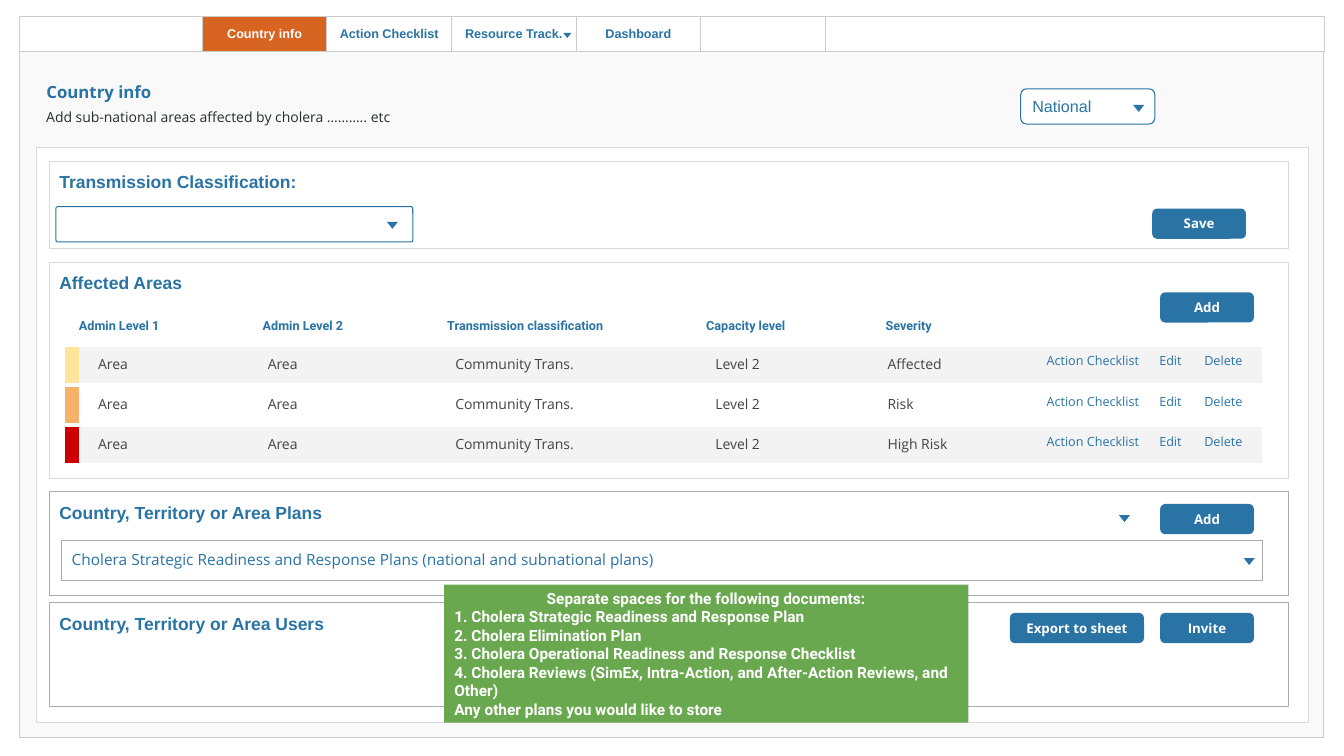
from lxml.etree import SubElement
from pptx import Presentation
from pptx.dml.color import RGBColor
from pptx.enum.shapes import MSO_SHAPE as Form
from pptx.enum.text import MSO_ANCHOR as Anchor, MSO_AUTO_SIZE as AutoSize, PP_ALIGN as Align
from pptx.oxml.ns import qn
from pptx.util import Pt

COLORS = {
    "white": "FFFFFF", "blue": "2973A5", "orange": "D86422", "green": "6AA84F",
    "frame": "F3F3F3", "frame_line": "CCCCCC", "light_line": "D9D9D9",
    "dark_line": "ACA9AF", "ink": "252D30", "cell": "434343",
    "Affected": "FFE599", "Risk": "F6B26B", "High Risk": "CC0000",
}
INSET = 7.2
ROW_GAP = 3.6


def rgb(name):
    return RGBColor.from_string(COLORS[name])


def write(frame, *lines, size=9, font="Arial", color="blue", bold=False,
          align=Align.LEFT, anchor=Anchor.TOP, inset=INSET, inset_y=None):
    """Fill a text frame, one paragraph for each line."""
    frame.word_wrap = True
    frame.auto_size = AutoSize.NONE
    frame.vertical_anchor = anchor
    frame.margin_left = frame.margin_right = Pt(inset)
    frame.margin_top = frame.margin_bottom = Pt(inset if inset_y is None else inset_y)
    for index, line in enumerate(lines):
        para = frame.paragraphs[0] if index == 0 else frame.add_paragraph()
        para.alignment = align
        para.space_before = Pt(0)
        format_span(para, line, size, font, color, bold)


def format_span(para, text, size, font, color, bold):
    span = para.add_run()
    span.text = text
    span.font.size = Pt(size)
    span.font.name = font
    span.font.bold = bold
    span.font.color.rgb = rgb(color)


def draw(page, box, fill="white", line=None, form=Form.RECTANGLE, corner=None):
    shape = page.shapes.add_shape(form, *map(Pt, box))
    shape.shadow.inherit = False
    shape.fill.solid()
    shape.fill.fore_color.rgb = rgb(fill)
    if line:
        shape.line.color.rgb = rgb(line)
        shape.line.width = Pt(0.75)
    else:
        shape.line.fill.background()
    if corner is not None:
        shape.adjustments[0] = corner
    return shape


def draw_arrow(page, left, top, width=8, height=5):
    arrow = draw(page, (left, top, width, height), "blue", form=Form.ISOSCELES_TRIANGLE)
    arrow.rotation = 180


def draw_button(page, label, left, top, width=67):
    button = draw(page, (left, top, width, 21.6), "blue",
                  form=Form.ROUNDED_RECTANGLE, corner=0.167)
    write(button.text_frame, label, size=9.5, font="Open Sans", color="white",
          bold=True, align=Align.CENTER, anchor=Anchor.MIDDLE)


def draw_panel(page, box, heading, line):
    panel = draw(page, box, line=line)
    write(panel.text_frame, heading, size=12.5, bold=True)


def place(holder, box):
    """Position a placeholder and bring it to the front."""
    holder.left, holder.top, holder.width, holder.height = map(Pt, box)
    holder.element.getparent().append(holder.element)


def build_frame(page, box):
    frame = draw(page, box, "frame", "frame_line")
    tint = frame.fill._xPr.find(qn("a:solidFill"))[0]
    SubElement(tint, qn("a:alpha")).set("val", "49000")


def build_navigation(page, box):
    left, top, width, height = box
    draw(page, box, line="frame_line")
    tab_width = 89
    tabs = ["Country info", "Action Checklist", "Resource Track.", "Dashboard", ""]
    for index, label in enumerate(tabs):
        active = index == 0
        tab = draw(page, (left + 130.3 + index * tab_width, top, tab_width, height),
                   "orange" if active else "white", "frame_line")
        if label:
            write(tab.text_frame, label, color="white" if active else "blue",
                  bold=True, align=Align.CENTER, anchor=Anchor.MIDDLE)
    draw_arrow(page, left + 388.1, top + 12, 5.8, 3.6)


def build_header(page, box):
    left, top, width, height = box
    place(page.shapes.title, (left, top, 140, 28.8))
    write(page.shapes.title.text_frame, "Country info",
          size=12, font="Open Sans", bold=True)
    subtitle = page.shapes.add_textbox(Pt(left), Pt(top + 19.2), Pt(width), Pt(26.6))
    write(subtitle.text_frame, "Add sub-national areas affected by cholera ……….. etc",
          size=10, font="Open Sans", color="ink")
    level = draw(page, (left + 703.2, top + 12.3, 95.8, 25.2), line="blue",
                 form=Form.ROUNDED_RECTANGLE, corner=0.167)
    write(level.text_frame, "National", size=11.5, anchor=Anchor.MIDDLE)
    draw_arrow(page, left + 783.4, top + 23.8)


def build_transmission(page, box):
    left, top, width, height = box
    draw_panel(page, box, "Transmission Classification:", "light_line")
    draw(page, (left + 4.7, top + 32.4, 254.9, 25.2), line="blue",
         form=Form.ROUNDED_RECTANGLE, corner=0.051)
    draw_arrow(page, left + 241, top + 43.2)
    draw_button(page, "Save", left + 787.7, top + 33.8)


def set_borders(cell):
    """White rules above and below, none at the sides."""
    properties = cell._tc.get_or_add_tcPr()
    for side in ("lnL", "lnR"):
        SubElement(SubElement(properties, qn(f"a:{side}"), w="0"), qn("a:noFill"))
    for side in ("lnT", "lnB"):
        rule = SubElement(properties, qn(f"a:{side}"), w=str(Pt(ROW_GAP)))
        solid = SubElement(rule, qn("a:solidFill"))
        SubElement(solid, qn("a:srgbClr")).set("val", COLORS["white"])


def fill_cell(cell, text, fill, indent=0, lift=0, **style):
    set_borders(cell)
    cell.fill.solid()
    cell.fill.fore_color.rgb = rgb(fill)
    cell.vertical_anchor = Anchor.MIDDLE
    cell.margin_left = Pt(indent)
    cell.margin_right = cell.margin_top = Pt(0)
    cell.margin_bottom = Pt(lift)
    if text:
        format_span(cell.text_frame.paragraphs[0], text, **style)


def build_areas(page, box):
    left, top, width, height = box
    draw_panel(page, box, "Affected Areas", "light_line")

    # Table: severity chip, five data columns, three links
    headings = ["", "Admin Level 1", "Admin Level 2", "Transmission classification",
                "Capacity level", "Severity", "", "", ""]
    widths = [10.1, 131.3, 131.8, 185, 128.2, 115, 80.5, 32.2, 41.3]
    indents = [0, 13.7, 3.6, 5.8, 6.5, 1.4, 0, 0, 0]
    severities = ["Affected", "Risk", "High Risk"]
    head_height, row_height = 26, 28.8
    table = page.shapes.add_table(
        len(severities) + 1, len(widths), Pt(left + 11), Pt(top + 32.8),
        Pt(sum(widths)), Pt(head_height + row_height * len(severities))).table
    table.rows[0].height = Pt(head_height)
    for column, (heading, column_width) in enumerate(zip(headings, widths)):
        table.columns[column].width = Pt(column_width)
        fill_cell(table.cell(0, column), heading, "white",
                  size=9, font="Roboto", color="blue", bold=True)
    for row, severity in enumerate(severities, start=1):
        table.rows[row].height = Pt(row_height)
        values = ["", "Area", "Area", "Community Trans.", "Level 2", severity,
                  "Action Checklist", "Edit", "Delete"]
        for column, value in enumerate(values):
            link = column > 5
            band = "frame" if row % 2 else "white"
            fill_cell(table.cell(row, column), value, band if column else severity,
                      indents[column], lift=5 if link else 1,
                      size=9 if link else 10, font="Open Sans",
                      color="blue" if link else "cell", bold=False)

    # Button in front of the table's heading row
    draw_button(page, "Add", left + 793.4, top + 21.6)


def build_plans(page, box):
    left, top, width, height = box
    draw_panel(page, box, "Country, Territory or Area Plans", "dark_line")
    draw_button(page, "Add", left + 793.4, top + 8.6)
    draw_arrow(page, left + 763.9, top + 16.5)
    plan = draw(page, (left + 8.8, top + 34.5, 857.5, 28.8), line="dark_line")
    write(plan.text_frame, "Cholera Strategic Readiness and Response Plans "
          "(national and subnational plans)", size=11, font="Open Sans")
    draw_arrow(page, left + 853, top + 47.2)


def build_users(page, box):
    left, top, width, height = box
    draw_panel(page, box, "Country, Territory or Area Users", "dark_line")
    draw_button(page, "Export to sheet", left + 686.1, top + 7.2, 95.8)
    draw_button(page, "Invite", left + 793.4, top + 7.2)


def build_note(page, box):
    note = page.placeholders[1]
    place(note, box)
    note.fill.solid()
    note.fill.fore_color.rgb = rgb("green")
    write(note.text_frame,
          "Separate spaces for the following documents:",
          "1. Cholera Strategic Readiness and Response Plan",
          "2. Cholera Elimination Plan",
          "3. Cholera Operational Readiness and Response Checklist",
          "4. Cholera Reviews (SimEx, Intra-Action, and After-Action Reviews, and Other)",
          "Any other plans you would like to store",
          size=11, font="Roboto", color="white", bold=True,
          anchor=Anchor.MIDDLE, inset_y=3.6)
    note.text_frame.paragraphs[0].alignment = Align.CENTER
    for para in note.text_frame.paragraphs:
        properties = para._p.get_or_add_pPr()
        properties.set("marL", "0")
        properties.set("indent", "0")
        SubElement(properties, qn("a:buNone"))


def main():
    deck = Presentation()
    deck.slide_width, deck.slide_height = Pt(960), Pt(540)
    page = deck.slides.add_slide(deck.slide_layouts[1])
    build_frame(page, (13.7, 11.5, 932, 515.5))
    build_navigation(page, (14.2, 11.5, 932, 25.2))
    build_header(page, (25.9, 51.1, 908.6, 46.1))
    draw(page, (25.9, 105.1, 908.6, 411.1), line="light_line")
    panels = [(build_transmission, 115.2, 62.6), (build_areas, 187.2, 154.8),
              (build_plans, 351.4, 74.2), (build_users, 430.6, 74.2)]
    for build, top, height in panels:
        build(page, (35.3, top, 884.9, height))
    build_note(page, (317.3, 417.6, 374.4, 98.6))
    deck.save("out.pptx")


if __name__ == "__main__":
    main()
